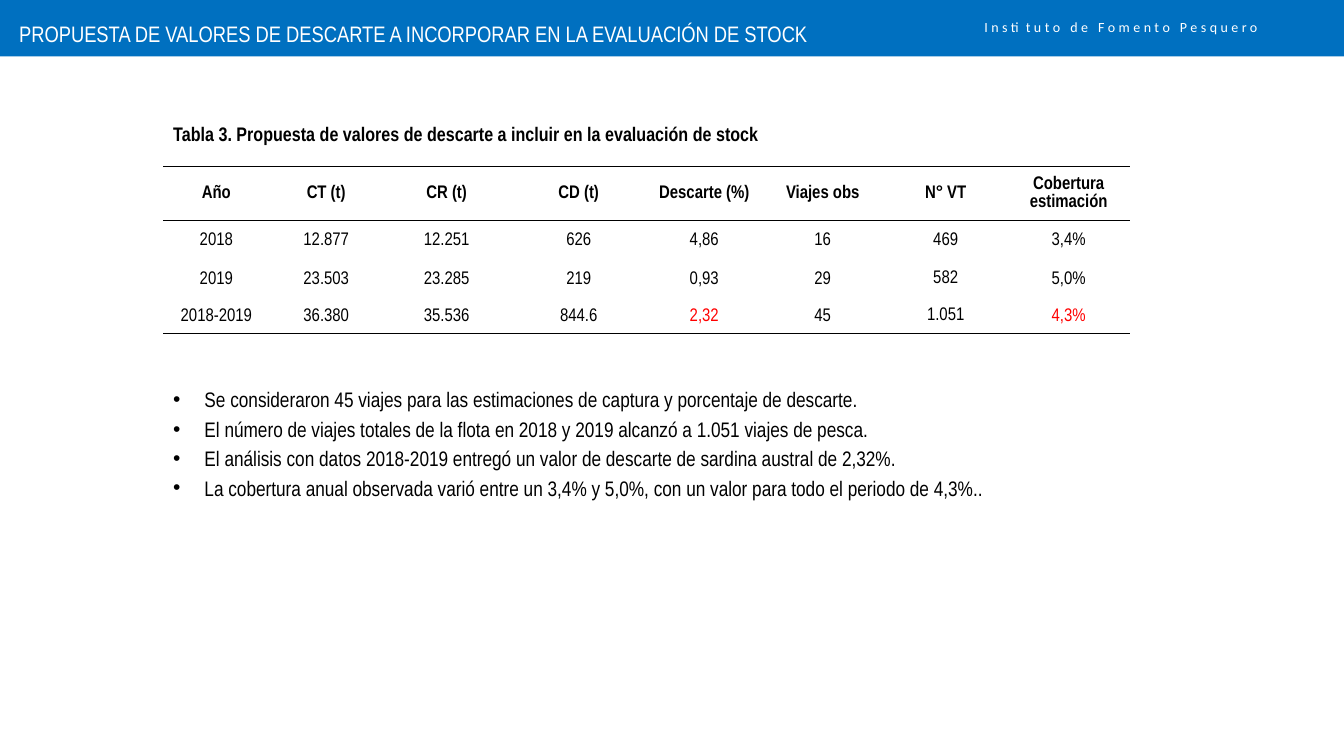
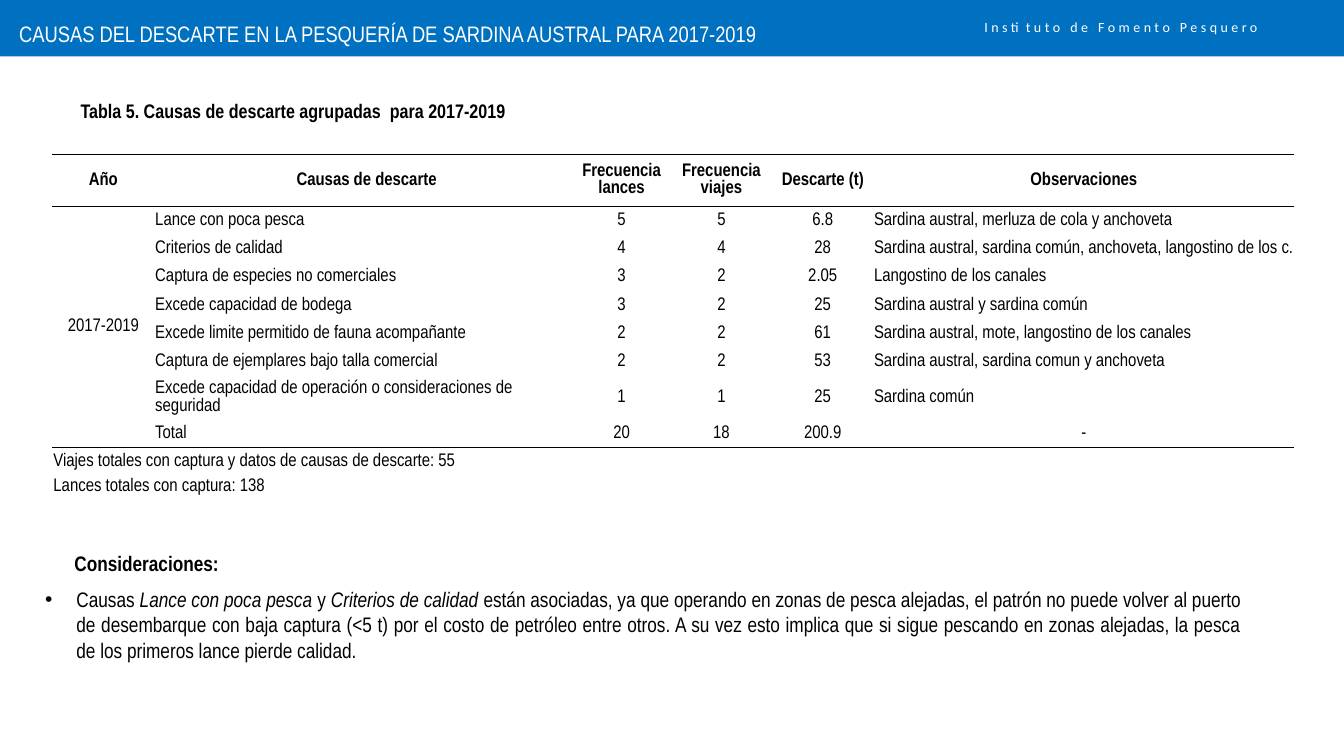
from lxml import etree
from pptx import Presentation
from pptx.dml.color import RGBColor
from pptx.enum.text import MSO_ANCHOR, MSO_AUTO_SIZE, PP_ALIGN
from pptx.oxml.ns import qn
from pptx.util import Inches, Pt

LEFT, CENTER, RIGHT, JUSTIFY = PP_ALIGN.LEFT, PP_ALIGN.CENTER, PP_ALIGN.RIGHT, PP_ALIGN.JUSTIFY
MIDDLE, NO_FIT = MSO_ANCHOR.MIDDLE, MSO_AUTO_SIZE.NONE
COLORS = {"band": "0070C0", "white": "FFFFFF", "ink": "000000", "accent": "FF0000"}
FONT, INSTITUTE_FONT = "Arial Narrow", "Calibri"
NO_GRID_STYLE = "{2D5ABB26-0587-4C30-8999-92F81FD0307C}"
INSTITUTE = "Instituto de Fomento Pesquero"
CELL_SIZE = 13

STOCK_ROWS = [
    ["Año", "CT (t)", "CR (t)", "CD (t)", "Descarte (%)", "Viajes obs", "N° VT", "Cobertura estimación"],
    ["2018", "12.877", "12.251", "626", "4,86", "16", "469", "3,4%"],
    ["2019", "23.503", "23.285", "219", "0,93", "29", "582", "5,0%"],
    ["2018-2019", "36.380", "35.536", "844.6", "2,32", "45", "1.051", "4,3%"],
]
STOCK_POINTS = [
    "Se consideraron 45 viajes para las estimaciones de captura y porcentaje de descarte.",
    "El número de viajes totales de la flota en 2018 y 2019 alcanzó a 1.051 viajes de pesca.",
    "El análisis con datos 2018-2019 entregó un valor de descarte de sardina austral de 2,32%.",
    "La cobertura anual observada varió entre un 3,4% y 5,0%, con un valor para todo el periodo de 4,3%..",
]
CAUSE_ROWS = [
    ["Año", "Causas de descarte", "Frecuencia lances", "Frecuencia\nviajes", "Descarte (t)", "", "Observaciones"],
    ["2017-2019", "Lance con poca pesca", "5", "5", "6.8", "", "Sardina austral, merluza de cola y anchoveta"],
    ["", "Criterios de calidad", "4", "4", "28", "",
     "Sardina austral, sardina común, anchoveta, langostino de los c."],
    ["", "Captura de especies no comerciales", "3", "2", "2.05", "", "Langostino de los canales"],
    ["", "Excede capacidad de bodega", "3", "2", "25", "", "Sardina austral y sardina común"],
    ["", "Excede limite permitido de fauna acompañante", "2", "2", "61", "",
     "Sardina austral, mote, langostino de los canales"],
    ["", "Captura de ejemplares bajo talla comercial", "2", "2", "53", "",
     "Sardina austral, sardina comun y anchoveta"],
    ["", "Excede capacidad de operación o consideraciones de seguridad", "1", "1", "25", "", "Sardina común"],
    ["", "Total", "20", "18", "200.9", "", "-"],
    ["Viajes totales con captura y datos de causas de descarte: 55"] + [""] * 6,
    ["Lances totales con captura: 138"] + [""] * 6,
]
CONSIDERATION = [
    ("Causas ", False),
    ("Lance con poca pesca ", True),
    ("y ", False),
    ("Criterios de calidad ", True),
    ("están asociadas, ya que operando en zonas de pesca alejadas, el patrón no puede volver al puerto "
     "de desembarque con baja captura (<5 t) por el costo de petróleo entre otros. A su vez esto implica "
     "que si sigue pescando en zonas alejadas, la pesca de los primeros lance pierde calidad.", False),
]


def paint(item, color):
    """Give a shape or cell a solid fill."""
    item.fill.solid()
    item.fill.fore_color.rgb = RGBColor.from_string(COLORS[color])


def add_span(para, text, size, color="ink", bold=False, italic=False, font=FONT):
    """Append one formatted run to a paragraph and return it."""
    span = para.add_run()
    span.text = text
    span.font.name, span.font.size = font, Pt(size)
    span.font.bold, span.font.italic = bold, italic
    span.font.color.rgb = RGBColor.from_string(COLORS[color])
    return span


def add_box(page, left, top, width, height, color=None):
    """Add a wrapping text box, filled if a color is given, and return its text frame."""
    box = page.shapes.add_textbox(Inches(left), Inches(top), Inches(width), Inches(height))
    if color:
        paint(box, color)
    box.text_frame.word_wrap = True
    return box.text_frame


def next_para(frame):
    """Return the empty first paragraph of a frame, or a new one."""
    first = frame.paragraphs[0]
    return frame.add_paragraph() if first.runs else first


def add_bullet(frame, spans):
    """Add a justified bullet made of (text, italic) spans."""
    para = next_para(frame)
    para.alignment, para.space_after = JUSTIFY, Pt(3)
    properties = para._p.get_or_add_pPr()
    properties.set("marL", str(Inches(0.31)))
    properties.set("indent", str(Inches(-0.31)))
    etree.SubElement(properties, qn("a:buFont"), typeface="Arial")
    etree.SubElement(properties, qn("a:buChar"), char="•")
    for text, italic in spans:
        add_span(para, text, 15, italic=italic)


def add_page(deck, title):
    """Add a slide with its blue title band and the institute name."""
    page = deck.slides.add_slide(deck.slide_layouts[5])
    band = page.shapes.title
    band.left, band.top = Inches(0), Inches(-0.02)
    band.width, band.height = deck.slide_width, Inches(0.58)
    paint(band, "band")
    frame = band.text_frame
    frame.auto_size, frame.word_wrap, frame.vertical_anchor = NO_FIT, True, MIDDLE
    frame.margin_left, frame.margin_top, frame.margin_bottom = Inches(0.19), Inches(0.13), Inches(0)
    frame.paragraphs[0].alignment = LEFT
    add_span(frame.paragraphs[0], title, 16, "white")
    para = add_box(page, 9.48, 0.13, 3.09, 0.28).paragraphs[0]
    para.alignment = RIGHT
    span = add_span(para, INSTITUTE, 10, "white", font=INSTITUTE_FONT)
    span._r.get_or_add_rPr().set("spc", "250")
    return page


def add_caption(page, text, left, top, width):
    """Add the bold caption of a table."""
    add_span(add_box(page, left, top, width, 0.34).paragraphs[0], text, 14, bold=True)


def add_edge(cell, side, visible):
    """Set the top (lnT) or bottom (lnB) border of a cell, black or none."""
    line = etree.SubElement(cell._tc.get_or_add_tcPr(), qn("a:" + side), w=str(Pt(1)))
    if visible:
        fill = etree.SubElement(line, qn("a:solidFill"))
        etree.SubElement(fill, qn("a:srgbClr"), val=COLORS["ink"])
    else:
        etree.SubElement(line, qn("a:noFill"))


def add_grid(page, left, top, widths, heights):
    """Add an unstyled table with the given column widths and row heights."""
    frame = page.shapes.add_table(len(heights), len(widths), Inches(left), Inches(top),
                                  Inches(sum(widths)), Inches(sum(heights)))
    grid = frame.table
    grid.first_row = grid.horz_banding = False
    next(frame._element.iter(qn("a:tableStyleId"))).text = NO_GRID_STYLE
    for column, width in zip(grid.columns, widths):
        column.width = Inches(width)
    for row, height in zip(grid.rows, heights):
        row.height = Inches(height)
    return grid


def fill_grid(grid, rows, rules, margin, align, spacing=None, accents=()):
    """Write the cells and draw a rule above each row number in rules."""
    for row, texts in enumerate(rows):
        for column, text in enumerate(texts):
            cell = grid.cell(row, column)
            cell.vertical_anchor = MIDDLE
            cell.margin_left = cell.margin_right = Inches(margin)
            cell.margin_top = cell.margin_bottom = Inches(0)
            add_edge(cell, "lnT", row in rules)
            add_edge(cell, "lnB", row + cell.span_height in rules)
            paint(cell, "white")
            if not text:
                etree.SubElement(cell.text_frame.paragraphs[0]._p, qn("a:endParaRPr"), sz=str(CELL_SIZE * 100))
                continue
            for line in text.split("\n"):
                para = next_para(cell.text_frame)
                para.alignment = align(row, column)
                if spacing:
                    para.line_spacing = spacing(row, column)
                add_span(para, line, CELL_SIZE, "accent" if text in accents else "ink", bold=row == 0)


def build_stock_page(deck):
    """Build the slide with the proposed discard values."""
    page = add_page(deck, "PROPUESTA DE VALORES DE DESCARTE A INCORPORAR EN LA EVALUACIÓN DE STOCK")
    grid = add_grid(page, 1.62, 1.65, [1.05, 1.13, 1.26, 1.36, 1.13] + [1.22] * 3, [0.54, 0.39, 0.38, 0.35])
    fill_grid(grid, STOCK_ROWS, {0, 1, 4}, 0.05, lambda row, column: CENTER,
              lambda row, column: 1.0 if row and column == 6 else 1.07, {"2,32", "4,3%"})
    add_caption(page, "Tabla 3. Propuesta de valores de descarte a incluir en la evaluación de stock", 1.62, 1.16, 9.44)
    frame = add_box(page, 1.62, 3.79, 9.6, 1.24, "white")
    for point in STOCK_POINTS:
        add_bullet(frame, [(point, False)])


def cause_align(row, column):
    """Return the alignment of a cell in the table of causes."""
    is_note = row > 8
    is_wording = 0 < row and column == 1 or 0 < row < 8 and column == 6
    return LEFT if is_note or is_wording else CENTER


def build_causes_page(deck):
    """Build the slide with the grouped causes of discard."""
    page = add_page(deck, "CAUSAS DEL DESCARTE EN LA PESQUERÍA DE SARDINA AUSTRAL PARA 2017-2019")
    grid = add_grid(page, 0.52, 1.53, [1.01, 4.21, 0.85, 1.13, 0.88, 0.04, 4.18], [0.52] + [0.28] * 9 + [0.2])
    grid.cell(1, 0).merge(grid.cell(8, 0))
    for row in (9, 10):
        grid.cell(row, 0).merge(grid.cell(row, 1))
    fill_grid(grid, CAUSE_ROWS, {0, 1, 9}, 0.01, cause_align)
    add_caption(page, "Tabla 5. Causas de descarte agrupadas  para 2017-2019", 0.7, 0.93, 4.81)
    frame = add_box(page, 0.35, 5.41, 12.07, 1.22, "white")
    heading = frame.paragraphs[0]
    heading.alignment, heading.space_after = JUSTIFY, Pt(8)
    heading._p.get_or_add_pPr().set("marL", str(Inches(0.29)))
    add_span(heading, "Consideraciones:", 15, bold=True)
    add_bullet(frame, CONSIDERATION)


def main():
    """Build and save the deck."""
    deck = Presentation()
    deck.slide_width, deck.slide_height = Inches(13.33), Inches(7.5)
    build_stock_page(deck)
    build_causes_page(deck)
    deck.save("out.pptx")


if __name__ == "__main__":
    main()
